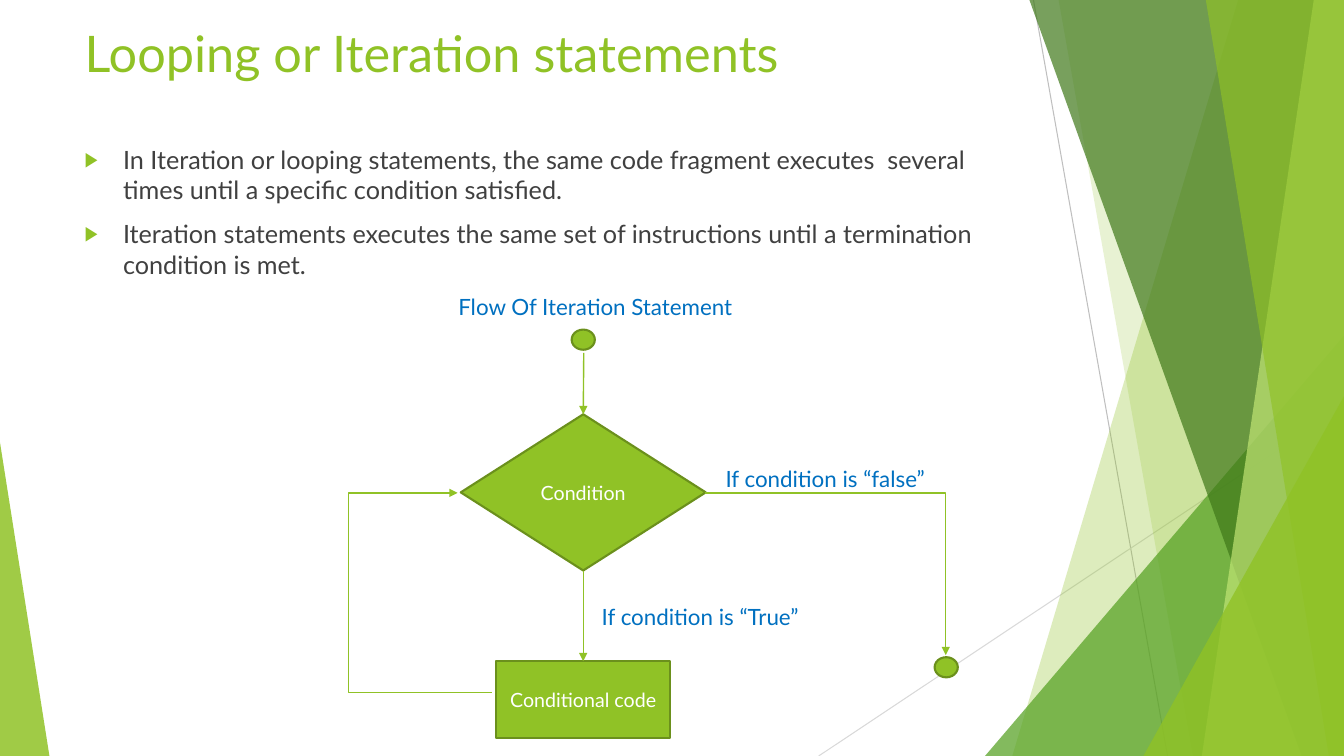
import dataclasses
from typing import Optional

import lxml.etree
import pptx
import pptx.dml.color
import pptx.enum.shapes
import pptx.enum.text
import pptx.oxml.ns
import pptx.util

Inches = pptx.util.Inches
RGBColor = pptx.dml.color.RGBColor
Shapes = pptx.enum.shapes.MSO_SHAPE
Connectors = pptx.enum.shapes.MSO_CONNECTOR
Align = pptx.enum.text.PP_ALIGN
Anchor = pptx.enum.text.MSO_ANCHOR
qn = pptx.oxml.ns.qn

GREEN = RGBColor(0x90, 0xC2, 0x26)
OLIVE = RGBColor(0x6B, 0x90, 0x1C)
LEAF = RGBColor(0x54, 0xA0, 0x21)
FOREST = RGBColor(0x3F, 0x78, 0x19)
LIME = RGBColor(0xC0, 0xE4, 0x74)
SILVER = RGBColor(0xBF, 0xBF, 0xBF)
PALE = RGBColor(0xD9, 0xD9, 0xD9)
DARK = RGBColor(0x40, 0x40, 0x40)
BLUE = RGBColor(0x00, 0x70, 0xC0)
WHITE = RGBColor(0xFF, 0xFF, 0xFF)
FONT = "Lato"
WIDTH, HEIGHT = 13.33, 7.5


@dataclasses.dataclass
class Band:
    top_left: float
    top_right: float
    bottom_right: float
    bottom_left: float
    color: RGBColor
    opacity: int


@dataclasses.dataclass
class Wedge:
    left: float
    top: float
    width: float
    apex: float
    color: RGBColor
    opacity: int


@dataclasses.dataclass
class Node:
    kind: int
    left: float
    top: float
    width: float
    height: float
    text: str = ""


@dataclasses.dataclass
class Label:
    text: str
    left: float
    top: float
    height: float = 0.37


BACKDROP = [
    Band(12.28, WIDTH, WIDTH, 10.04, GREEN, 30),
    Band(10.5, WIDTH, WIDTH, 11.83, GREEN, 20),
    Wedge(9.77, 3.33, 3.56, 1, LEAF, 72),
    Band(10.21, WIDTH, WIDTH, 12.91, FOREST, 70),
    Band(13.03, WIDTH, WIDTH, 11.92, LIME, 70),
    Band(11.96, WIDTH, WIDTH, 13.18, GREEN, 65),
    Wedge(11.34, 3.93, 1.99, 1, GREEN, 80),
    Wedge(0, 4.39, 0.49, 0, GREEN, 85),
]
START = Node(Shapes.OVAL, 5.67, 3.27, 0.23, 0.2)
CONDITION = Node(Shapes.DIAMOND, 4.57, 4.11, 2.43, 1.55, "Condition")
CODE = Node(Shapes.RECTANGLE, 4.92, 6.56, 1.73, 0.76, "Conditional code")
END = Node(Shapes.OVAL, 9.27, 6.52, 0.23, 0.2)
LABELS = [
    Label("Flow Of Iteration Statement", 4.35, 2.86, 0.64),
    Label("If condition is “True”", 5.39, 5.93),
    Label("If condition is “false”", 6.63, 4.57),
]
POINTS = [
    "In Iteration or looping statements, the same code fragment executes  several "
    "times until a specific condition satisfied.",
    "Iteration statements executes the same set of instructions until a termination "
    "condition is met.",
]


def write(frame, text: str, *, size: float, color: RGBColor, align=Align.LEFT,
          anchor=Anchor.TOP, bulleted: bool = False) -> None:
    frame.word_wrap = True
    frame.auto_size = pptx.enum.text.MSO_AUTO_SIZE.NONE
    frame.vertical_anchor = anchor
    frame.text = text
    for index, paragraph in enumerate(frame.paragraphs):
        paragraph.alignment = align
        paragraph.space_before = pptx.util.Pt(10 if index else 0)
        if bulleted:
            add_bullet(paragraph)
        paragraph.font.name = FONT
        paragraph.font.size = pptx.util.Pt(size)
        paragraph.font.color.rgb = color


def add_bullet(paragraph) -> None:
    properties = paragraph._p.get_or_add_pPr()
    properties.set("marL", str(Inches(0.38)))
    properties.set("indent", str(-Inches(0.38)))
    tint = lxml.etree.SubElement(properties, qn("a:buClr"))
    lxml.etree.SubElement(tint, qn("a:srgbClr"), val=str(GREEN))
    lxml.etree.SubElement(properties, qn("a:buSzPct"), val="80000")
    lxml.etree.SubElement(properties, qn("a:buChar"), char="▶")


def place(shape, left: float, top: float, width: float, height: float) -> None:
    shape.left, shape.top = Inches(left), Inches(top)
    shape.width, shape.height = Inches(width), Inches(height)


def draw_backdrop(slide, part) -> None:
    if isinstance(part, Band):
        outline = slide.shapes.build_freeform(Inches(part.top_left), 0, scale=1.0)
        outline.add_line_segments([
            (Inches(part.top_right), 0),
            (Inches(part.bottom_right), Inches(HEIGHT)),
            (Inches(part.bottom_left), Inches(HEIGHT)),
        ])
        shape = outline.convert_to_shape()
    else:
        shape = slide.shapes.add_shape(
            Shapes.ISOSCELES_TRIANGLE, Inches(part.left), Inches(part.top),
            Inches(part.width), Inches(HEIGHT - part.top))
        shape.adjustments[0] = part.apex
    shape.shadow.inherit = False
    shape.line.fill.background()
    shape.fill.solid()
    shape.fill.fore_color.rgb = part.color
    tint = shape._element.spPr.find(qn("a:solidFill"))[0]
    lxml.etree.SubElement(tint, qn("a:alpha"), val=str(part.opacity * 1000))


def draw_node(slide, node: Node):
    shape = slide.shapes.add_shape(node.kind, Inches(node.left), Inches(node.top),
                                   Inches(node.width), Inches(node.height))
    shape.shadow.inherit = False
    shape.fill.solid()
    shape.fill.fore_color.rgb = GREEN
    shape.line.color.rgb = OLIVE
    shape.line.width = pptx.util.Pt(1.5)
    if node.text:
        write(shape.text_frame, node.text, size=14, color=WHITE,
              align=Align.CENTER, anchor=Anchor.MIDDLE)
    return shape


def draw_line(slide, start: tuple[float, float], end: tuple[float, float], *,
              color: RGBColor = GREEN, width: float = 1, arrow: bool = True,
              preset: Optional[str] = None, bend: Optional[int] = None):
    kind = Connectors.ELBOW if preset else Connectors.STRAIGHT
    line = slide.shapes.add_connector(kind, *map(Inches, start + end))
    line.line.color.rgb = color
    line.line.width = pptx.util.Pt(width)
    properties = line._element.spPr
    if arrow:
        lxml.etree.SubElement(line.line._get_or_add_ln(), qn("a:tailEnd"), type="triangle")
    if preset:
        geometry = properties.find(qn("a:prstGeom"))
        geometry.set("prst", preset)
        if bend is not None:
            guides = geometry.find(qn("a:avLst"))
            lxml.etree.SubElement(guides, qn("a:gd"), name="adj1", fmla=f"val {bend}")
    lxml.etree.SubElement(properties, qn("a:effectLst"))
    return line


def main() -> None:
    deck = pptx.Presentation()
    deck.slide_width, deck.slide_height = Inches(WIDTH), Inches(HEIGHT)
    slide = deck.slides.add_slide(deck.slide_layouts[1])
    title, body = slide.placeholders

    draw_line(slide, (10.25, 0), (11.58, HEIGHT), color=SILVER, width=0.75, arrow=False)
    draw_line(slide, (WIDTH, 4.03), (8.12, HEIGHT), color=PALE, width=0.75, arrow=False)
    for part in BACKDROP:
        draw_backdrop(slide, part)

    for placeholder in (title, body):
        slide.shapes._spTree.append(placeholder._element)
    place(title, 0.74, 0.17, 9.4, 1.44)
    write(title.text_frame, "Looping or Iteration statements", size=36, color=GREEN)
    place(body, 0.74, 1.38, 9.4, 1.67)
    write(body.text_frame, "\n".join(POINTS), size=18, color=DARK, bulleted=True)

    condition, _, code, _ = [draw_node(slide, node) for node in (CONDITION, START, CODE, END)]
    entry = draw_line(slide, (5.79, 3.5), (5.79, 4.09))
    entry.end_connect(condition, 0)
    when_true = draw_line(slide, (5.79, 5.69), (5.79, 6.52))
    when_true.begin_connect(condition, 2)
    when_true.end_connect(code, 0)
    draw_line(slide, (6.99, 4.89), (9.38, 6.5), preset="bentConnector2")
    draw_line(slide, (4.88, 6.87), (4.54, 4.89), preset="bentConnector3", bend=417700)

    for label in LABELS:
        box = slide.shapes.add_textbox(Inches(label.left), Inches(label.top),
                                       Inches(3.11), Inches(label.height))
        write(box.text_frame, label.text, size=16, color=BLUE, align=Align.CENTER)
    deck.save("out.pptx")


if __name__ == "__main__":
    main()
